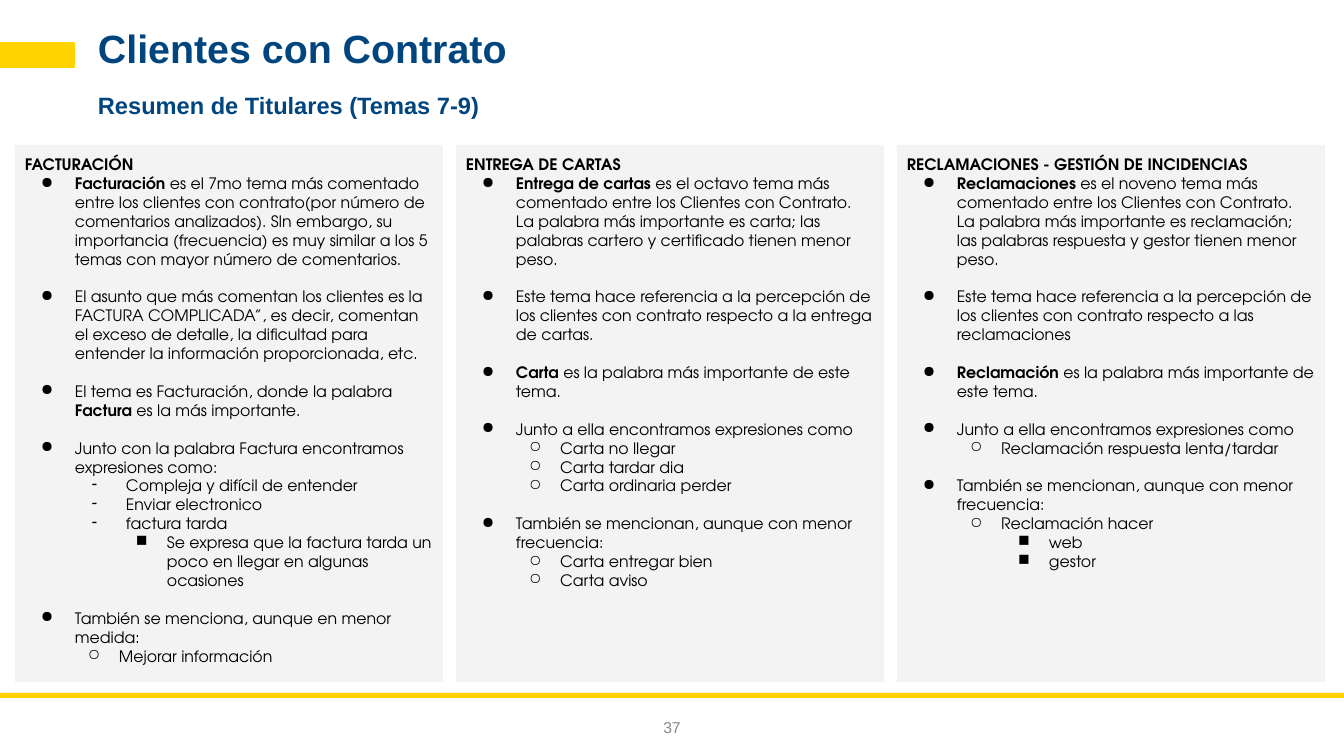
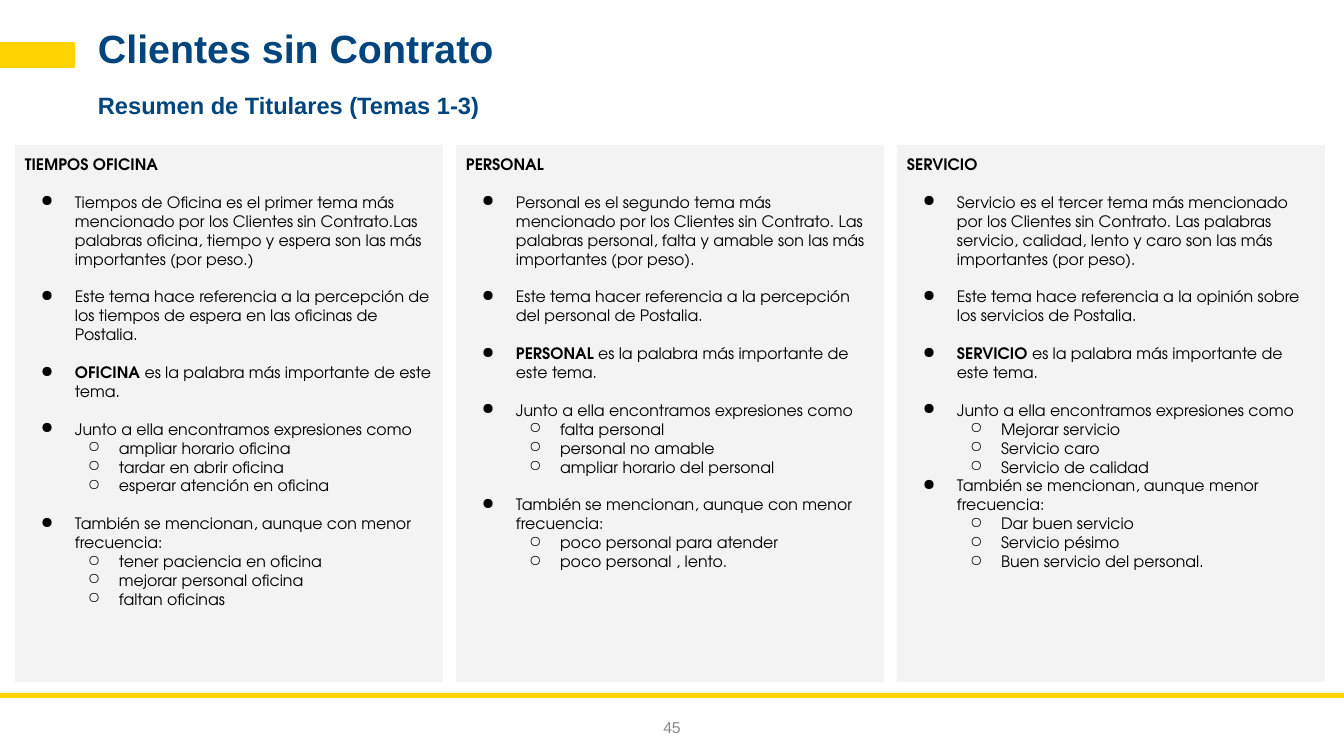
from dataclasses import dataclass

from lxml import etree
from pptx import Presentation
from pptx import util as u
from pptx.dml.color import RGBColor
from pptx.enum import shapes, text
from pptx.oxml.ns import qn

JUNTO = "Junto a ella encontramos expresiones como"
TAMBIEN = "También se mencionan, aunque con menor frecuencia:"

# Each panel is (heading, rows); each row is (kind, text), with *bold* words.
SLIDES = [
    {
        "title": "Clientes con Contrato",
        "subtitle": "Resumen de Titulares (Temas 7-9)",
        "number": "37",
        "panels": [
            ("FACTURACIÓN", [
                ("tight", "*Facturación* es el 7mo tema más comentado entre los clientes con "
                          "contrato(por número de comentarios analizados). SIn embargo, su "
                          "importancia (frecuencia) es muy similar a los 5 temas con mayor "
                          "número de comentarios."),
                ("main", "El asunto que más comentan los clientes es la FACTURA COMPLICADA”, "
                         "es decir, comentan el exceso de detalle, la dificultad para entender "
                         "la información proporcionada, etc."),
                ("main", "El tema es Facturación, donde la palabra *Factura* es la más importante."),
                ("main", "Junto con la palabra Factura encontramos expresiones como:"),
                ("dash", "Compleja y difícil de entender"),
                ("dash", "Enviar electronico"),
                ("dash", "factura tarda"),
                ("deep", "Se expresa que la factura tarda un poco en llegar en algunas ocasiones"),
                ("main", "También se menciona, aunque en menor medida:"),
                ("sub", "Mejorar información"),
            ]),
            ("ENTREGA DE CARTAS", [
                ("tight", "*Entrega de cartas* es el octavo tema más comentado entre los Clientes "
                          "con Contrato. La palabra más importante es carta; las palabras cartero "
                          "y certificado tienen menor peso."),
                ("main", "Este tema hace referencia a la percepción de los clientes con contrato "
                         "respecto a la entrega de cartas."),
                ("main", "*Carta* es la palabra más importante de este tema."),
                ("main", JUNTO),
                ("sub", "Carta no llegar"),
                ("sub", "Carta tardar dia"),
                ("sub", "Carta ordinaria perder"),
                ("main", TAMBIEN),
                ("sub", "Carta entregar bien"),
                ("sub", "Carta aviso"),
            ]),
            ("RECLAMACIONES - GESTIÓN DE INCIDENCIAS", [
                ("tight", "*Reclamaciones* es el noveno tema más comentado entre los Clientes con "
                          "Contrato. La palabra más importante es reclamación; las palabras "
                          "respuesta y gestor tienen menor peso."),
                ("main", "Este tema hace referencia a la percepción de los clientes con contrato "
                         "respecto a las reclamaciones"),
                ("main", "*Reclamación* es la palabra más importante de este tema."),
                ("main", JUNTO),
                ("sub", "Reclamación respuesta lenta/tardar"),
                ("main", TAMBIEN),
                ("sub", "Reclamación hacer"),
                ("deep", "web"),
                ("deep", "gestor"),
            ]),
        ],
    },
    {
        "title": "Clientes sin Contrato",
        "subtitle": "Resumen de Titulares (Temas 1-3)",
        "number": "45",
        "panels": [
            ("TIEMPOS OFICINA", [
                ("main", "Tiempos de Oficina es el primer tema más mencionado por los Clientes sin "
                         "Contrato.Las palabras oficina, tiempo y espera son las más importantes "
                         "(por peso.)"),
                ("main", "Este tema hace referencia a la percepción de los tiempos de espera en "
                         "las oficinas de Postalia."),
                ("main", "*OFICINA* es la palabra más importante de este tema."),
                ("main", JUNTO),
                ("sub", "ampliar horario oficina"),
                ("sub", "tardar en abrir oficina"),
                ("sub", "esperar atención en oficina"),
                ("main", TAMBIEN),
                ("sub", "tener paciencia en oficina"),
                ("sub", "mejorar personal oficina"),
                ("sub", "faltan oficinas"),
            ]),
            ("PERSONAL", [
                ("main", "Personal es el segundo tema más mencionado por los Clientes sin Contrato. "
                         "Las palabras personal, falta y amable son las más importantes (por peso)."),
                ("main", "Este tema hacer referencia a la percepción del personal de Postalia."),
                ("main", "*PERSONAL* es la palabra más importante de este tema."),
                ("main", JUNTO),
                ("sub", "falta personal"),
                ("sub", "personal no amable"),
                ("sub", "ampliar horario del personal"),
                ("main", TAMBIEN),
                ("sub", "poco personal para atender"),
                ("sub", "poco personal , lento."),
            ]),
            ("SERVICIO", [
                ("main", "Servicio es el tercer tema más mencionado por los Clientes sin Contrato. "
                         "Las palabras servicio, calidad, lento y caro son las más importantes "
                         "(por peso)."),
                ("main", "Este tema hace referencia a la opinión sobre los servicios de Postalia."),
                ("main", "*SERVICIO* es la palabra más importante de este tema."),
                ("main", JUNTO),
                ("sub", "Mejorar servicio"),
                ("sub", "Servicio caro"),
                ("sub", "Servicio de calidad"),
                ("tight", "También se mencionan, aunque menor frecuencia:"),
                ("sub", "Dar buen servicio"),
                ("sub", "Servicio pésimo"),
                ("sub", "Buen servicio del personal."),
            ]),
        ],
    },
]


@dataclass(frozen=True)
class Theme:
    yellow: str = "FFD300"
    blue: str = "00457D"
    panel: str = "F3F3F3"
    ink: str = "000000"
    grey: str = "888888"
    head_font: str = "Arial"
    body_font: str = "TeX Gyre Adventor"
    title: int = 30
    subtitle: int = 18
    body: int = 12
    gap: float = 14.4


T = Theme()
PX = 914400 / 94.5
WIDTH, HEIGHT = 1344, 756
PANEL_X, PANEL_Y, PANEL_W, PANEL_H, PANEL_STEP = 15, 145, 428, 537, 441

# kind: (bullet, level, left margin px, hanging px, space before pt)
KINDS = {
    "main": ("●", 0, 50, 34, T.gap),
    "tight": ("●", 0, 50, 34, 0),
    "dash": ("-", 0, 101, 34, 0),
    "sub": ("○", 1, 94, 31, 0),
    "deep": ("■", 2, 142, 31, 0),
}


def px(n):
    return u.Emu(round(n * PX))


def add_rect(s, x, y, w, h, color):
    sp = s.shapes.add_shape(shapes.MSO_SHAPE.RECTANGLE, px(x), px(y), px(w), px(h))
    sp.shadow.inherit = False
    sp.fill.solid()
    sp.fill.fore_color.rgb = RGBColor.from_string(color)
    sp.line.fill.background()
    return sp


def add_run(p, words, size, font, color, bold=False):
    r = p.add_run()
    r.text = words
    r.font.size = u.Pt(size)
    r.font.name = font
    r.font.bold = bold
    r.font.color.rgb = RGBColor.from_string(color)


def set_frame(tf, anchor, inset_x, inset_y):
    tf.word_wrap = True
    tf.vertical_anchor = anchor
    tf.margin_left = tf.margin_right = px(inset_x)
    tf.margin_top = tf.margin_bottom = px(inset_y)


def add_label(s, x, y, w, h, words, size, color, bold=True, align=text.PP_ALIGN.LEFT, inset_y=9):
    tf = s.shapes.add_textbox(px(x), px(y), px(w), px(h)).text_frame
    set_frame(tf, text.MSO_ANCHOR.MIDDLE, 9, inset_y)
    p = tf.paragraphs[0]
    p.alignment = align
    p.line_spacing = 0.9 if bold else 1.0
    add_run(p, words, size, T.head_font, color, bold)


def set_bullet(p, char, left, hanging):
    pPr = p._p.get_or_add_pPr()
    pPr.set("marL", str(px(left)))
    pPr.set("indent", str(-px(hanging)))
    color = etree.SubElement(pPr, qn("a:buClr"))
    etree.SubElement(color, qn("a:srgbClr"), val=T.ink)
    etree.SubElement(pPr, qn("a:buChar"), char=char)


def add_panel(s, column, heading, rows):
    sp = add_rect(s, PANEL_X + column * PANEL_STEP, PANEL_Y, PANEL_W, PANEL_H, T.panel)
    tf = sp.text_frame
    set_frame(tf, text.MSO_ANCHOR.TOP, 10, 10)
    p = tf.paragraphs[0]
    p.alignment = text.PP_ALIGN.LEFT
    add_run(p, heading, T.body, T.body_font, T.ink, True)
    for kind, words in rows:
        char, level, left, hanging, before = KINDS[kind]
        p = tf.add_paragraph()
        set_bullet(p, char, left, hanging)
        p.level = level
        p.alignment = text.PP_ALIGN.LEFT
        p.space_before = u.Pt(before)
        for i, part in enumerate(words.split("*")):
            if part:
                add_run(p, part, T.body, T.body_font, T.ink, i % 2 == 1)


def add_frame(s, title, subtitle, number):
    """Draw the bands, titles and page number that every slide has."""
    add_rect(s, 0, 693, WIDTH, 5, T.yellow)
    tab = add_rect(s, 0, 43, 74, 24, T.yellow)
    tab.line.color.rgb = RGBColor.from_string(T.yellow)
    tab.line.width = u.Pt(1)
    add_label(s, 89, 27, 1221, 47, title, T.title, T.blue)
    add_label(s, 89, 93, 1221, 28, subtitle, T.subtitle, T.blue)
    add_label(s, 643, 698, 58, 58, number, T.body, T.grey, False, text.PP_ALIGN.CENTER, 5)


def main():
    prs = Presentation()
    prs.slide_width, prs.slide_height = px(WIDTH), px(HEIGHT)
    for content in SLIDES:
        s = prs.slides.add_slide(prs.slide_layouts[6])
        add_frame(s, content["title"], content["subtitle"], content["number"])
        for column, (heading, rows) in enumerate(content["panels"]):
            add_panel(s, column, heading, rows)
    prs.save("out.pptx")


if __name__ == "__main__":
    main()
